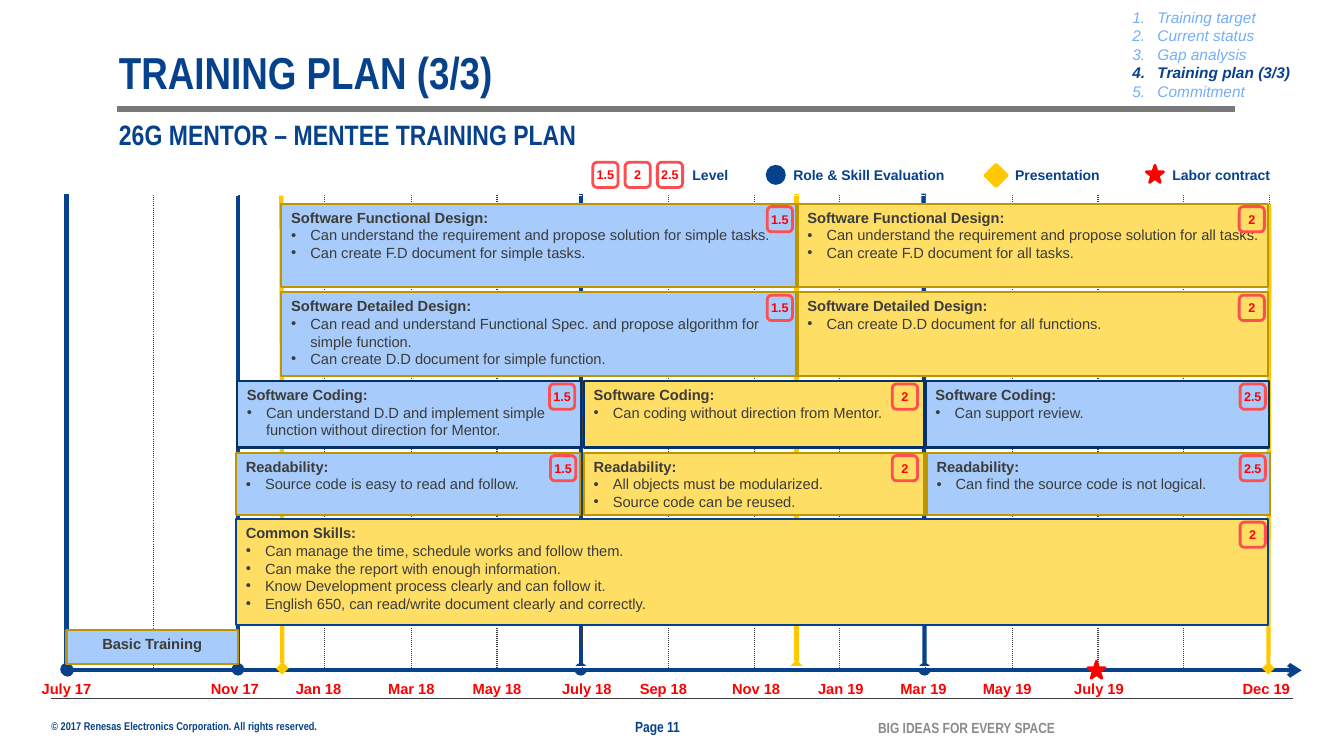
import dataclasses
import typing

import lxml.etree
import pptx
import pptx.dml.color
import pptx.enum.shapes
import pptx.enum.text
import pptx.oxml.ns
import pptx.util

SCALE = 9144
SHAPE = pptx.enum.shapes.MSO_SHAPE
ALIGN = pptx.enum.text.PP_ALIGN
ANCHOR = pptx.enum.text.MSO_ANCHOR
Box = tuple[int, int, int, int]
Point = tuple[int, int]


def px(length: int) -> pptx.util.Emu:
    return pptx.util.Emu(length * SCALE)


class Style(typing.NamedTuple):
    size: float
    color: str
    bold: bool = True
    italic: bool = False
    face: str = "Arial"


@dataclasses.dataclass(frozen=True)
class Theme:
    navy: str = "06418C"
    deep: str = "053169"
    amber: str = "FFC800"
    gold: str = "BF9600"
    blue: str = "A7CBFB"
    yellow: str = "FFDE66"
    red: str = "FF0000"
    coral: str = "FF4E4E"
    ink: str = "3C3C3B"
    gray: str = "797979"
    white: str = "FFFFFF"
    title: Style = Style(32, "06418C", face="Arial Narrow")
    subtitle: Style = Style(20, "06418C", face="Arial Narrow")
    page: Style = Style(10.5, "06418C", face="Arial Narrow")
    slogan: Style = Style(10.5, "8B8B89", face="Arial Narrow")
    rights: Style = Style(8, "06418C", face="Arial Narrow")
    agenda: Style = Style(11, "73AEF9", False, True)
    agenda_now: Style = Style(11, "06418C", True, True)
    date: Style = Style(10.5, "FF0000")
    legend: Style = Style(10, "06418C")
    level: Style = Style(9, "FF0000")
    heading: Style = Style(10.5, "3C3C3B")
    skill: Style = Style(10.5, "3C3C3B", False)


T = Theme()
FLUSH = dict.fromkeys(("margin_left", "margin_top", "margin_right", "margin_bottom"), px(0))
PADDED = dict(margin_left=px(10), margin_top=px(5), margin_right=px(5), margin_bottom=px(5))
EVEN = PADDED | dict(margin_right=px(10))


class Entry(typing.NamedTuple):
    text: str
    style: Style
    indent: int = 0
    bullet: tuple[str, str, str] | None = None


class Card(typing.NamedTuple):
    box: Box
    fill: str
    edge: str
    heading: str
    skills: tuple[str, ...] = ()
    level: str = ""
    badge_inset: int = 29


class Milestone(typing.NamedTuple):
    start: Point
    end: Point
    color: str
    head: str


class Marker(typing.NamedTuple):
    shape: pptx.enum.shapes.MSO_SHAPE
    box: Box
    color: str


class LegendLabel(typing.NamedTuple):
    left: int
    width: int
    text: str


EARLY_MILESTONES = (
    Milestone((917, 664), (916, 192), T.navy, "oval"),
    Milestone((576, 664), (576, 192), T.navy, "oval"),
    Milestone((790, 661), (790, 192), T.amber, "diamond"),
)
LATE_MILESTONES = (
    Milestone((280, 663), (279, 194), T.amber, "diamond"),
    Milestone((66, 664), (66, 192), T.navy, "oval"),
    Milestone((1258, 663), (1259, 202), T.amber, "diamond"),
    Milestone((236, 664), (236, 194), T.navy, "oval"),
)
DATES = {"July 17": 66, "Nov 17": 233, "Jan 18": 316, "Mar 18": 408, "May 18": 493,
         "July 18": 582, "Sep 18": 658, "Nov 18": 750, "Jan 19": 834, "Mar 19": 916,
         "May 19": 999, "July 19": 1090, "Dec 19": 1256}
MARKERS = (
    Marker(SHAPE.STAR_5_POINT, (1079, 656, 17, 17), T.red),
    Marker(SHAPE.STAR_5_POINT, (1137, 164, 17, 17), T.red),
    Marker(SHAPE.DIAMOND, (977, 163, 22, 22), T.amber),
    Marker(SHAPE.OVAL, (761, 165, 17, 17), T.navy),
)
LEGEND = (LegendLabel(677, 70, "Level"), LegendLabel(777, 190, "Role & Skill Evaluation"),
          LegendLabel(997, 125, "Presentation"), LegendLabel(1153, 130, "Labor contract"))
AGENDA = ("Training target", "Current status", "Gap analysis", "Training plan (3/3)", "Commitment")
CURRENT_TOPIC = 3
CARDS = (
    Card((234, 449, 341, 62), T.blue, T.gold, "Readability:",
         ("Source code is easy to read and follow.",), "1.5"),
    Card((235, 378, 341, 66), T.blue, T.deep, "Software Coding:",
         ("Can understand D.D and implement simple function without direction for Mentor.",), "1.5", 31),
    Card((579, 449, 338, 62), T.yellow, T.gold, "Readability:",
         ("All objects must be modularized.", "Source code can be reused."), "2", 32),
    Card((579, 378, 338, 66), T.yellow, T.deep, "Software Coding:",
         ("Can coding without direction from Mentor.",), "2", 32),
    Card((791, 290, 467, 83), T.yellow, T.gold, "Software Detailed Design:",
         ("Can create D.D document for all functions.",), "2"),
    Card((279, 290, 511, 83), T.blue, T.gold, "Software Detailed Design:",
         ("Can read and understand Functional Spec. and propose algorithm for simple function.",
          "Can create D.D document for simple function."), "1.5"),
    Card((791, 202, 467, 83), T.yellow, T.gold, "Software Functional Design:",
         ("Can understand the requirement and propose solution for all tasks.",
          "Can create F.D document for all tasks."), "2"),
    Card((279, 202, 511, 83), T.blue, T.gold, "Software Functional Design:",
         ("Can understand the requirement and propose solution for simple tasks.",
          "Can create F.D document for simple tasks."), "1.5"),
    Card((66, 625, 170, 34), T.blue, T.gold, "Basic Training"),
    Card((234, 515, 1024, 105), T.yellow, T.navy, "Common Skills:",
         ("Can manage the time, schedule works and follow them.",
          "Can make the report with enough information.",
          "Know Development process clearly and can follow it.",
          "English 650, can read/write document clearly and correctly."), "2", 28),
    Card((918, 378, 341, 66), T.blue, T.deep, "Software Coding:", ("Can support review.",), "2.5"),
    Card((919, 449, 341, 62), T.blue, T.gold, "Readability:",
         ("Can find the source code is not logical.",), "2.5", 30),
)


def rgb(color: str) -> pptx.dml.color.RGBColor:
    return pptx.dml.color.RGBColor.from_string(color)


def apply(target: typing.Any, values: dict[str, typing.Any]) -> None:
    for name, value in values.items():
        setattr(target, name, value)


def add_xml(parent: typing.Any, tag: str, **values: str) -> typing.Any:
    return lxml.etree.SubElement(parent, pptx.oxml.ns.qn(f"a:{tag}"), values)


def place(shape: typing.Any, box: Box) -> None:
    apply(shape, dict(zip(("left", "top", "width", "height"), map(px, box))))


def write(frame: typing.Any, entries: typing.Sequence[Entry], margins: dict,
          align: typing.Any = ALIGN.LEFT, anchor: typing.Any = ANCHOR.TOP, spacing: float = 1.0) -> None:
    apply(frame, margins | dict(word_wrap=True, vertical_anchor=anchor,
                                auto_size=pptx.enum.text.MSO_AUTO_SIZE.NONE))
    for index, entry in enumerate(entries):
        paragraph = frame.add_paragraph() if index else frame.paragraphs[0]
        if entry.bullet:
            properties = paragraph._p.get_or_add_pPr()
            properties.set("marL", str(px(entry.indent)))
            properties.set("indent", str(-px(entry.indent)))
            tag, key, value = entry.bullet
            add_xml(properties, "buFont", typeface="Arial")
            add_xml(properties, tag, **{key: value})
        apply(paragraph, dict(alignment=align, line_spacing=spacing,
                              space_before=pptx.util.Pt(0), space_after=pptx.util.Pt(0)))
        run = paragraph.add_run()
        run.text = entry.text
        style = entry.style
        apply(run.font, dict(size=pptx.util.Pt(style.size), name=style.face,
                             bold=style.bold, italic=style.italic))
        run.font.color.rgb = rgb(style.color)


def add_label(slide: typing.Any, box: Box, text: str, style: Style, margins: dict = FLUSH,
              **layout: typing.Any) -> None:
    label = slide.shapes.add_textbox(*map(px, box))
    write(label.text_frame, [Entry(text, style)], margins, **layout)


def add_line(slide: typing.Any, start: Point, end: Point, color: str, width: float,
             head: str = "", tail: str = "") -> None:
    line = slide.shapes.add_connector(pptx.enum.shapes.MSO_CONNECTOR.STRAIGHT, *map(px, start + end))
    line.line.color.rgb = rgb(color)
    line.line.width = pptx.util.Pt(width)
    for tag, kind in (("headEnd", head), ("tailEnd", tail)):
        if kind:
            add_xml(line.line._get_or_add_ln(), tag, type=kind)
    add_xml(line._element.spPr, "effectLst")


def add_shape(slide: typing.Any, kind: typing.Any, box: Box, fill: str, edge: str, width: float) -> typing.Any:
    shape = slide.shapes.add_shape(kind, *map(px, box))
    shape.shadow.inherit = False
    if fill:
        shape.fill.solid()
        shape.fill.fore_color.rgb = rgb(fill)
    else:
        shape.fill.background()
    shape.line.color.rgb = rgb(edge)
    shape.line.width = pptx.util.Pt(width)
    return shape


def add_badge(slide: typing.Any, left: int, top: int, level: str) -> None:
    badge = add_shape(slide, SHAPE.ROUNDED_RECTANGLE, (left, top, 25, 25), "", T.coral, 2)
    write(badge.text_frame, [Entry(level, T.level)], FLUSH, ALIGN.CENTER, ANCHOR.MIDDLE)


def add_card(slide: typing.Any, card: Card) -> None:
    panel = add_shape(slide, SHAPE.RECTANGLE, card.box, card.fill, card.edge, 1.5)
    entries = [Entry(card.heading, T.heading)]
    entries += [Entry(skill, T.skill, 19, ("buChar", "char", "•")) for skill in card.skills]
    if card.level:
        write(panel.text_frame, entries, PADDED)
        left, top, width, _ = card.box
        add_badge(slide, left + width - card.badge_inset, top + 3, card.level)
    else:
        write(panel.text_frame, entries, EVEN, ALIGN.CENTER)


def add_months(slide: typing.Any, box: Box, count: int) -> None:
    months = slide.shapes.add_table(1, count, *map(px, box)).table
    apply(months, dict(first_row=False, horz_banding=False))
    edges = [round(box[2] * index / count) for index in range(count + 1)]
    borders = (("lnL", T.ink, 1, "sysDot"), ("lnR", T.ink, 1, "sysDot"),
               ("lnT", T.white, 1, "solid"), ("lnB", T.white, 3, "solid"))
    for index, month in enumerate(months.columns):
        month.width = px(edges[index + 1] - edges[index])
        cell = months.cell(0, index)
        for tag, color, width, dash in borders:
            border = add_xml(cell._tc.get_or_add_tcPr(), tag, w=str(pptx.util.Pt(width)))
            add_xml(add_xml(border, "solidFill"), "srgbClr", val=color)
            add_xml(border, "prstDash", val=dash)
        cell.fill.background()


def main() -> None:
    deck = pptx.Presentation()
    apply(deck, dict(slide_width=px(1333), slide_height=px(750)))
    slide = deck.slides.add_slide(deck.slide_layouts[1])
    title, agenda = slide.placeholders
    place(title, (118, 50, 932, 48))
    write(title.text_frame, [Entry("TRAINING PLAN (3/3)", T.title)], FLUSH, anchor=ANCHOR.BOTTOM, spacing=0.9)
    place(agenda, (1123, 8, 185, 93))
    topics = [Entry(topic, T.agenda_now if index == CURRENT_TOPIC else T.agenda, 25,
                    ("buAutoNum", "type", "arabicPeriod")) for index, topic in enumerate(AGENDA)]
    write(agenda.text_frame, topics, FLUSH)
    add_line(slide, (116, 108), (1225, 108), T.gray, 4)
    add_label(slide, (118, 120, 932, 30), "26G MENTOR – MENTEE TRAINING PLAN", T.subtitle,
              anchor=ANCHOR.BOTTOM, spacing=0.9)
    add_line(slide, (51, 693), (1282, 693), T.ink, 0.5)
    add_label(slide, (51, 714, 300, 13), "© 2017 Renesas Electronics Corporation. All rights reserved.", T.rights)
    add_label(slide, (630, 712, 73, 18), "Page 11", T.page, anchor=ANCHOR.MIDDLE)
    add_label(slide, (871, 713, 200, 18), "BIG IDEAS FOR EVERY SPACE", T.slogan, anchor=ANCHOR.MIDDLE)
    for milestone in EARLY_MILESTONES:
        add_line(slide, milestone.start, milestone.end, milestone.color, 3, milestone.head)
    add_months(slide, (67, 194, 1192, 469), 14)
    add_line(slide, (67, 665), (1291, 665), T.navy, 3, "oval", "arrow")
    for date, center in DATES.items():
        add_label(slide, (center - 45, 669, 90, 28), date, T.date, EVEN, align=ALIGN.CENTER)
    for milestone in LATE_MILESTONES:
        add_line(slide, milestone.start, milestone.end, milestone.color, 3, milestone.head)
    for card in CARDS:
        add_card(slide, card)
    for marker in MARKERS:
        add_shape(slide, marker.shape, marker.box, marker.color, marker.color, 2)
    for index, level in enumerate(("1.5", "2", "2.5")):
        add_badge(slide, 588 + 32 * index, 161, level)
    for label in LEGEND:
        add_label(slide, (label.left, 160, label.width, 27), label.text, T.legend, EVEN)
    deck.save("out.pptx")


if __name__ == "__main__":
    main()
